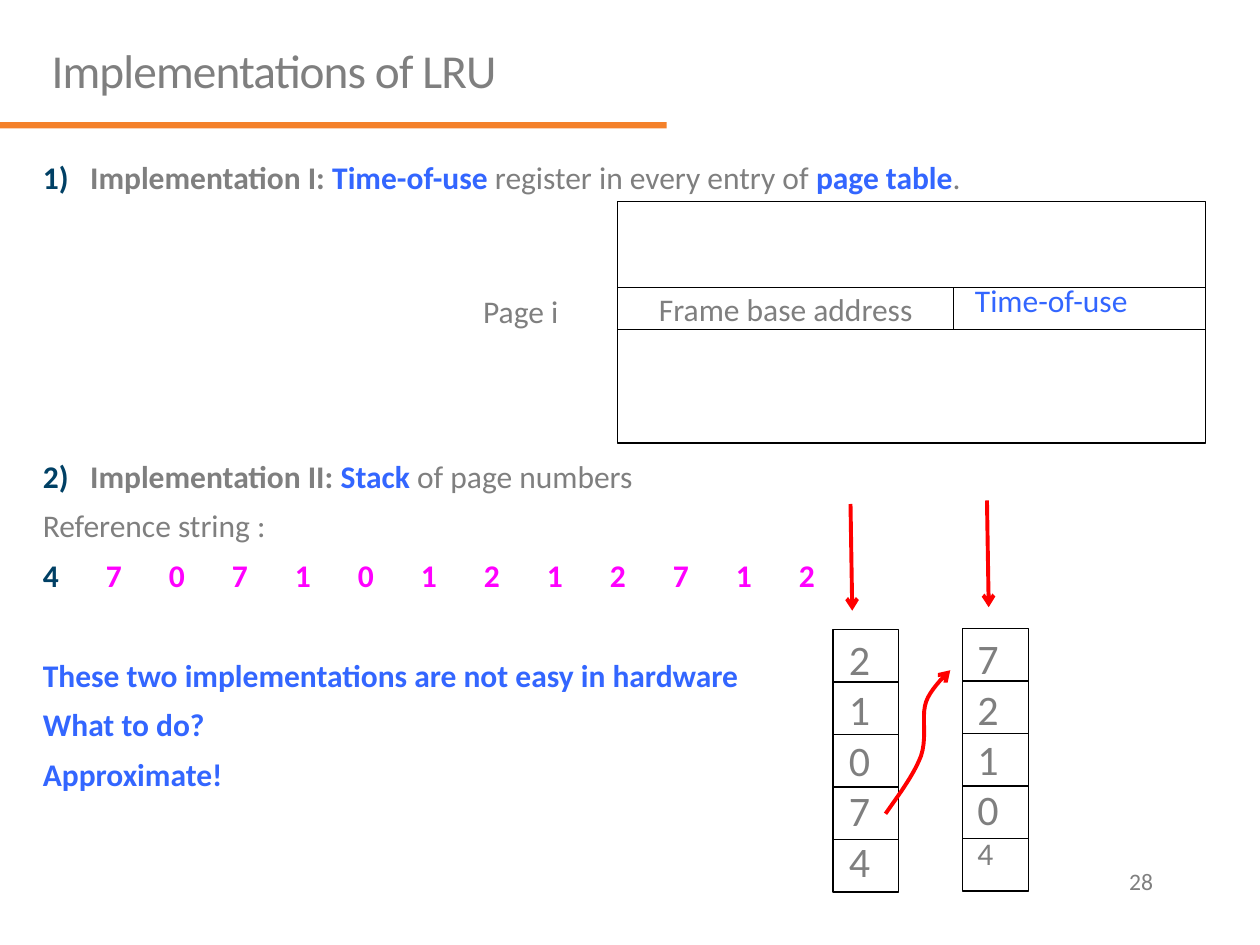
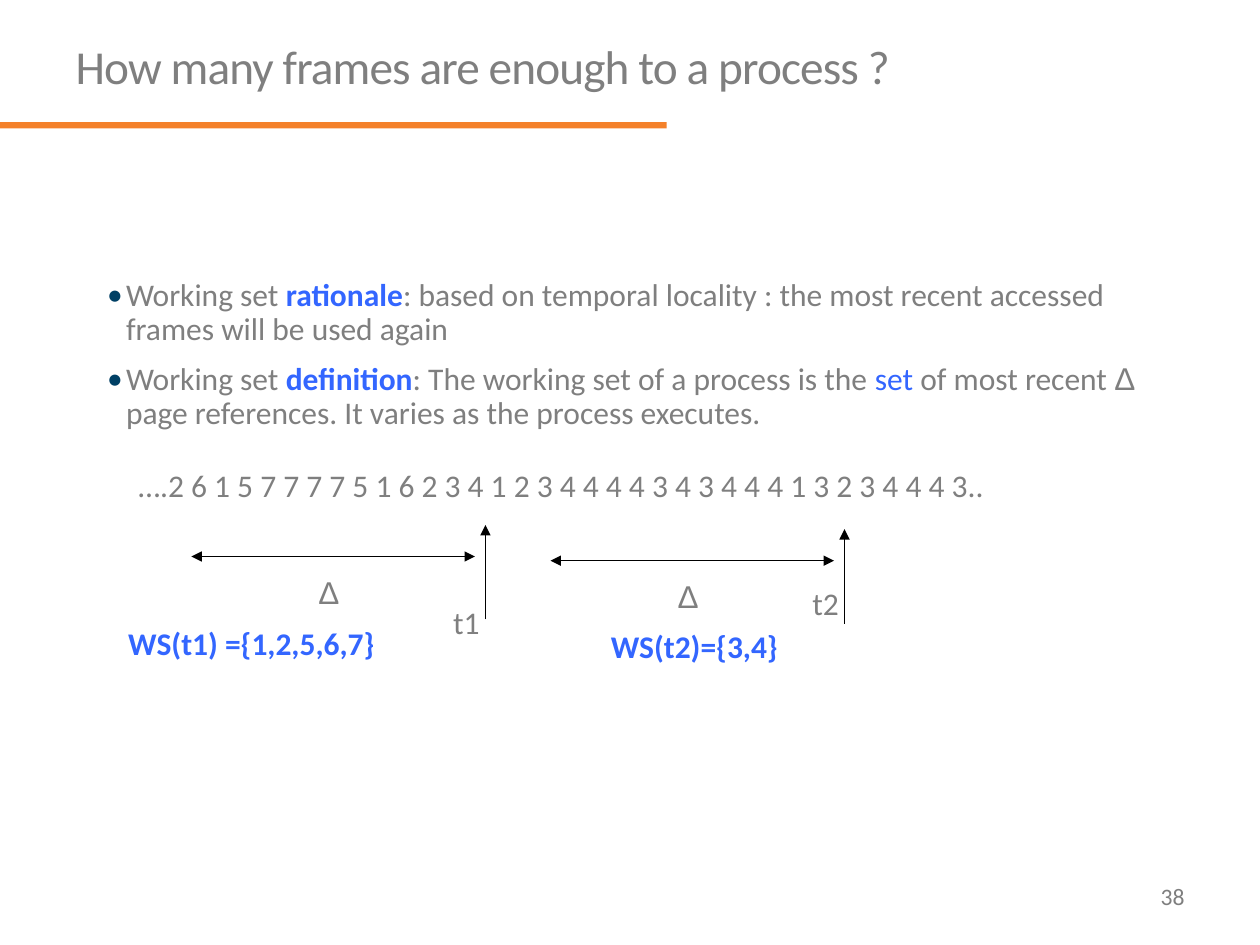
"""Build two lecture slides on page replacement and working sets."""
from dataclasses import dataclass

from lxml.etree import SubElement
from pptx import Presentation
from pptx.dml.color import RGBColor
from pptx.enum.shapes import MSO_CONNECTOR, MSO_SHAPE
from pptx.enum.text import MSO_ANCHOR, MSO_AUTO_SIZE, PP_ALIGN
from pptx.oxml.ns import qn
from pptx.util import Pt


@dataclass(frozen=True)
class Theme:
    grey: str = "7F7F7F"
    blue: str = "3366FF"
    navy: str = "004065"
    pink: str = "FF00FF"
    red: str = "FF0000"
    black: str = "000000"
    band: str = "F4812A"
    face: str = "Calibri"
    greek: str = "Arial"
    head: float = 27
    big: float = 24
    text: float = 18
    small: float = 13.5
    thin: float = 0.75
    thick: float = 2.25


THEME = Theme()


class Deck:
    """Hold the style and the current slide."""

    def __init__(self, theme):
        self.theme = theme
        self.prs = Presentation()
        self.prs.slide_width, self.prs.slide_height = Pt(720), Pt(540)
        self.slide = None

    def start(self, title, title_box, number, number_box):
        self.slide = self.prs.slides.add_slide(self.prs.slide_layouts[1])
        band = self.rect(0, 69.8, 381, 3.6, line=False)
        band.fill.solid()
        band.fill.fore_color.rgb = RGBColor.from_string(self.theme.band)
        par = self.place(self.slide.shapes.title, title_box).paragraphs[0]
        par.alignment = PP_ALIGN.LEFT
        par.line_spacing = 0.9
        self.font(par.font, size=self.theme.head)
        run = par.add_run()
        run.text = title
        run.font._element.set("spc", "-50")
        self.note(number_box, number, size=self.theme.small, wrap=True, align=PP_ALIGN.RIGHT)

    def place(self, shape, box):
        shape.left, shape.top, shape.width, shape.height = map(Pt, box)
        frame = shape.text_frame
        frame.word_wrap = True
        frame.auto_size = MSO_AUTO_SIZE.NONE
        frame.vertical_anchor = MSO_ANCHOR.TOP
        return frame

    def font(self, font, size=None, color=None, bold=False, face=None):
        font.name = face or self.theme.face
        font.size = Pt(size or self.theme.text)
        font.bold = bold
        font.color.rgb = RGBColor.from_string(color or self.theme.grey)

    def body(self, box, items):
        frame = self.place(self.slide.placeholders[1], box)
        for i, item in enumerate(items):
            par = frame.add_paragraph() if i else frame.paragraphs[0]
            self.item(par, space=item.pop("space", 9) if i else 0, **item)

    def item(self, par, runs, space, mark=None, hang=0, tabs=(), **style):
        par.line_spacing = 0.9
        par.space_before = Pt(space)
        props = par._p.get_or_add_pPr()
        props.set("marL", str(Pt(hang)))
        props.set("indent", str(-Pt(hang)))
        if mark:
            tint = SubElement(props, qn("a:buClr"))
            SubElement(tint, qn("a:srgbClr"), val=self.theme.navy)
            SubElement(props, qn("a:buFont"), typeface=self.theme.face)
            if isinstance(mark, int):
                SubElement(props, qn("a:buAutoNum"), type="arabicParenR", startAt=str(mark))
            else:
                SubElement(props, qn("a:buChar"), char=mark)
        else:
            SubElement(props, qn("a:buNone"))
        if tabs:
            stops = SubElement(props, qn("a:tabLst"))
            for stop in tabs:
                SubElement(stops, qn("a:tab"), pos=str(Pt(stop)), algn="l")
        self.font(par.font, **style)
        for text, *own in runs:
            run = par.add_run()
            run.text = text
            if own:
                self.font(run.font, **own[0])

    def note(self, box, *lines, wrap=False, align=PP_ALIGN.LEFT, last=None, **style):
        frame = self.place(self.slide.shapes.add_textbox(0, 0, 0, 0), box)
        frame.word_wrap = wrap
        if not wrap:
            frame.auto_size = MSO_AUTO_SIZE.SHAPE_TO_FIT_TEXT
        for i, line in enumerate(lines):
            par = frame.add_paragraph() if i else frame.paragraphs[0]
            par.text = line
            par.alignment = align
            self.font(par.font, **style)
        if last:
            par.font.size = Pt(last)

    def rect(self, left, top, width, height, text="", line=True):
        shape = self.slide.shapes.add_shape(
            MSO_SHAPE.RECTANGLE, *map(Pt, (left, top, width, height)))
        shape.shadow.inherit = False
        shape.fill.background()
        if line:
            self.ink(shape.line, self.theme.black, self.theme.thin)
        else:
            shape.line.fill.background()
        if text:
            frame = shape.text_frame
            frame.word_wrap = False
            frame.vertical_anchor = MSO_ANCHOR.MIDDLE
            par = frame.paragraphs[0]
            par.text = text
            par.alignment = PP_ALIGN.CENTER
            self.font(par.font)
        return shape

    def ink(self, line, color, width, **ends):
        line.color.rgb = RGBColor.from_string(color)
        line.width = Pt(width)
        for end, kind in ends.items():
            SubElement(line._get_or_add_ln(), qn(f"a:{end}End"), type=kind)

    def arrow(self, start, end, color, width, **ends):
        link = self.slide.shapes.add_connector(
            MSO_CONNECTOR.STRAIGHT, *map(Pt, (*start, *end)))
        self.ink(link.line, color, width, **ends)
        SubElement(link._element.spPr, qn("a:effectLst"))

    def curve(self, start, arcs, steps=10):
        points, here = [], start
        for one, two, end in arcs:
            for step in range(1, steps + 1):
                t = step / steps
                u = 1 - t
                points.append(tuple(
                    Pt(u**3 * a + 3 * u * u * t * b + 3 * u * t * t * c + t**3 * d)
                    for a, b, c, d in zip(here, one, two, end)))
            here = end
        pen = self.slide.shapes.build_freeform(*map(Pt, start))
        pen.add_line_segments(points, close=False)
        shape = pen.convert_to_shape()
        shape.shadow.inherit = False
        shape.fill.background()
        self.ink(shape.line, self.theme.red, self.theme.thick, tail="arrow")

    def stack(self, left, top, pages, text_left, text_top, last=None):
        self.note((text_left, text_top, 26.6, 150), *pages, size=self.theme.big, last=last)
        for row in range(len(pages)):
            self.rect(left, top + 30 * row, 37.6, 30)

    def window(self, left, top, mark, mark_top, result, result_box):
        black, thin = self.theme.black, self.theme.thin
        self.arrow((left, top), (left + 162, top), black, thin, head="triangle", tail="triangle")
        self.arrow((left + 168, top + 36), (left + 168, top - 18), black, thin, tail="triangle")
        self.note((left + 65.5, top + 6, 26, 29), "Δ", face=self.theme.greek)
        self.note((left + 142.5, mark_top, 29.5, 29), mark)
        self.note(result_box, result, color=self.theme.blue, bold=True)


def lru(deck):
    look = deck.theme
    deck.start("Implementations of LRU", (22.3, 23.8, 612, 48), "28", (516, 492, 150, 36))
    key = {"color": look.blue, "bold": True}
    strong = {"bold": True}
    refs = "4 7 0 7 1 0 1 2 1 2 7 1 2".split()
    stops = (27.4, 56.6, 90, 124, 157, 195, 232, 270, 311.4, 405.7, 463.4, 501)
    deck.body((17.3, 89.3, 646, 385), [
        {"runs": [("Implementation I: ", strong), ("Time-of-use ", key),
                  ("register in every entry of ",), ("page table", key), (".",)],
         "mark": 1, "hang": 27, "bold": False},
        {"runs": [("Implementation II: ", strong), ("Stack", key), (" of page numbers",)],
         "mark": 2, "hang": 27, "space": 151},
        {"runs": [("Reference string :",)]},
        {"runs": [(refs[0], {"color": look.navy, "bold": True}),
                  ("\t" + "\t".join(refs[1:]),)],
         "tabs": stops, "color": look.pink, "bold": True},
        {"runs": [("These two implementations are not easy in hardware",)], "space": 37.4, **key},
        {"runs": [("What to do?",)], **key},
        {"runs": [("Approximate!",)], **key},
    ])
    deck.rect(353, 115.2, 336, 138)
    deck.rect(353, 164.2, 192, 24, "Frame base address")
    deck.rect(545, 164.2, 144, 24)
    deck.note((550, 157, 104, 29), "Time-of-use", color=look.blue)
    deck.note((269, 163.5, 73.5, 29), "Page i")
    deck.stack(476, 359.8, "21074", 478, 358.5)
    deck.stack(550, 359.2, "72104", 551.5, 358, last=look.text)
    for start, end in (((486, 288), (487, 349)), ((564, 286), (565, 347))):
        deck.arrow(start, end, look.red, look.thick, tail="arrow")
    deck.curve((506, 465), [
        ((514, 453.6), (522, 443), (526.3, 432)),
        ((530, 421), (526.3, 409), (529.2, 401)),
        ((532, 393), (543, 383), (543, 383)),
    ])


def working(deck):
    look = deck.theme
    deck.start("How many frames are enough to a process ?", (36, 21.6, 648, 48),
               "38", (516, 500.4, 168, 29))
    key = {"color": look.blue, "bold": True}
    point = {"mark": "•", "hang": 10.8}
    deck.body((54, 156.2, 612, 204), [
        {"runs": [("Working set ",), ("rationale", key),
                  (": based on temporal locality : the most recent accessed "
                   "frames will be used again",)], **point},
        {"runs": [("Working set ",), ("definition", key),
                  (": The working set of a process is the ",), ("set", {"color": look.blue}),
                  (" of most recent ",), ("Δ", {"face": look.greek}),
                  (" page references. It varies as the process executes.",)], **point},
    ])
    deck.note((72, 262.8, 533.5, 29),
              "….2 6 1 5 7 7 7 7 5 1 6 2 3 4 1 2 3 4 4 4 4 3 4 3 4 4 4 1 3 2 3 4 4 4 3..")
    deck.window(109.4, 318, "t1", 340.8, "WS(t1) ={1,2,5,6,7}", (66.2, 352.8, 178, 29))
    deck.window(314.6, 320.4, "t2", 330, "WS(t2)={3,4}", (342, 354.5, 127.5, 29))


def main():
    deck = Deck(THEME)
    lru(deck)
    working(deck)
    deck.prs.save("out.pptx")


if __name__ == "__main__":
    main()
